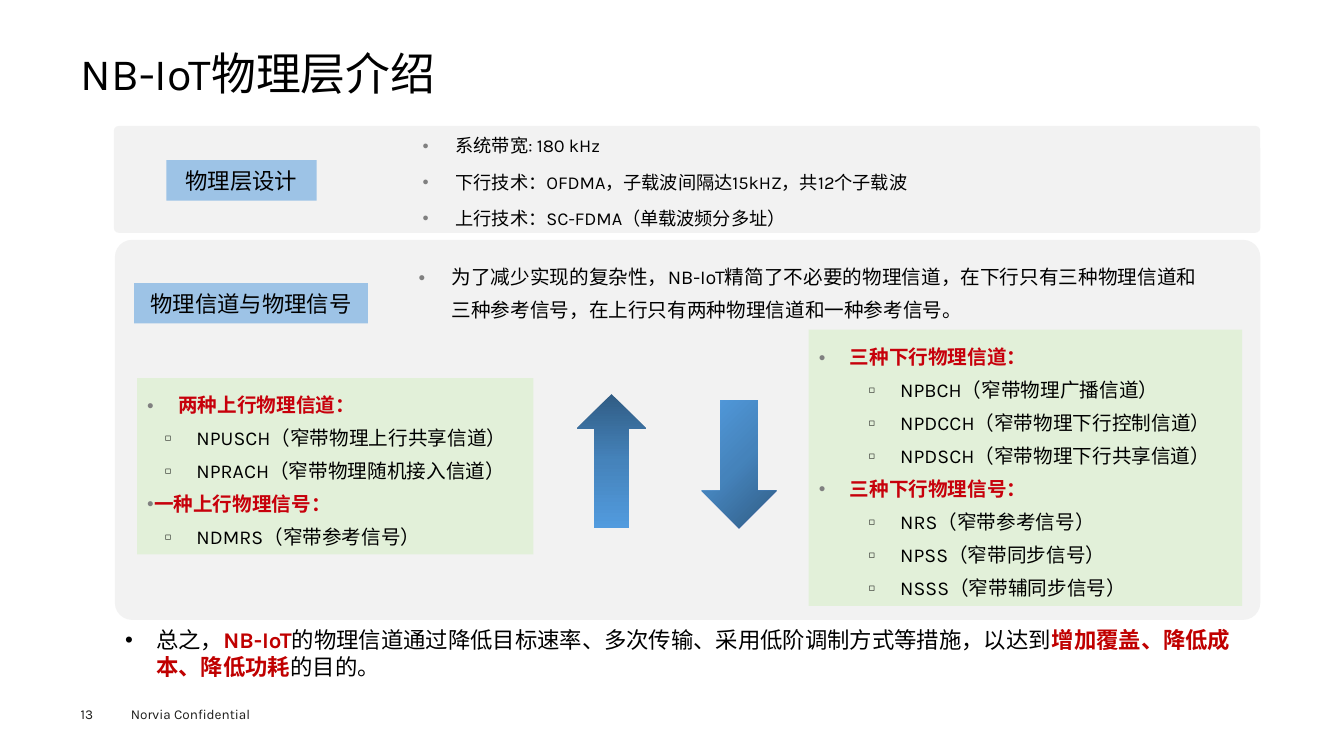
from lxml import etree
from pptx import Presentation
from pptx.dml.color import RGBColor
from pptx.enum.shapes import MSO_SHAPE
from pptx.enum.text import MSO_ANCHOR, MSO_AUTO_SIZE, PP_ALIGN
from pptx.oxml import parse_xml
from pptx.oxml.ns import nsdecls, qn
from pptx.util import Inches, Pt

RECT = MSO_SHAPE.RECTANGLE
ROUNDED = MSO_SHAPE.ROUNDED_RECTANGLE
UP, DOWN = MSO_SHAPE.UP_ARROW, MSO_SHAPE.DOWN_ARROW
TOP, MIDDLE = MSO_ANCHOR.TOP, MSO_ANCHOR.MIDDLE
LEFT, CENTER = PP_ALIGN.LEFT, PP_ALIGN.CENTER
FIXED = MSO_AUTO_SIZE.NONE

BLACK = RGBColor(0x00, 0x00, 0x00)
FOOTER_INK = RGBColor(0x1D, 0x1D, 0x1B)
HEADING_RED = RGBColor(0xC7, 0x00, 0x0B)
KEY_RED = RGBColor(0xC0, 0x00, 0x00)
PANEL_GREY = RGBColor(0xF2, 0xF2, 0xF2)
LABEL_BLUE = RGBColor(0x9D, 0xC3, 0xE6)
LIST_GREEN = RGBColor(0xE2, 0xF0, 0xD9)
BULLET_GREY = RGBColor(0x80, 0x80, 0x80)
ARROW_STOPS = ((0, RGBColor(0x30, 0x5C, 0x84)), (50, RGBColor(0x45, 0x83, 0xBB)),
               (100, RGBColor(0x52, 0x9B, 0xDE)))

DOT = {"char": "●", "size": 60, "color": BULLET_GREY}
SQUARE = {"char": "◻", "size": 50, "color": BLACK}
ROUND_DOT = {"char": "•", "size": 100, "color": BLACK}
NO_INSETS = (0, 0)
LABEL_INSETS = (0.13, 0.07)
BOX_INSETS = (0.1, 0.05)
UPWARD_SHADE = '<a:lin ang="5400000" scaled="0"/>'
CORNER_SHADE = '<a:path path="circle"><a:fillToRect l="100000" t="100000"/></a:path>'


class PhysicalLayerSlide:
    font_name = "Karla"

    def __init__(self, deck):
        self.slide = deck.slides.add_slide(deck.slide_layouts[1])

    def apply(self, target, **values):
        for name, value in values.items():
            setattr(target, name, value)

    def place(self, item, box):
        self.apply(item, **dict(zip(("left", "top", "width", "height"), map(Inches, box))))

    def frame(self, item, insets, anchor=TOP):
        across, down = map(Inches, insets)
        self.apply(item.text_frame, word_wrap=True, auto_size=FIXED, vertical_anchor=anchor,
                   margin_left=across, margin_right=across, margin_top=down, margin_bottom=down)

    def fill_paragraph(self, paragraph, runs, size, align=LEFT, spacing=1.0, before=0):
        self.apply(paragraph, alignment=align, line_spacing=spacing,
                   space_before=Pt(before), space_after=Pt(0))
        for text, color, bold in runs:
            run = paragraph.add_run()
            run.text = text
            self.apply(run.font, name=self.font_name, size=Pt(size), bold=bold)
            run.font.color.rgb = color

    def bullet(self, paragraph, mark, margin, hang):
        properties = paragraph._p.get_or_add_pPr()
        properties.set("marL", str(Inches(margin)))
        properties.set("indent", str(-Inches(hang)))
        color = etree.SubElement(properties, qn("a:buClr"))
        etree.SubElement(color, qn("a:srgbClr")).set("val", str(mark["color"]))
        etree.SubElement(properties, qn("a:buSzPct")).set("val", str(mark["size"] * 1000))
        etree.SubElement(properties, qn("a:buFont")).set("typeface", "Arial")
        etree.SubElement(properties, qn("a:buChar")).set("char", mark["char"])

    def title(self, text, box):
        heading = self.slide.shapes.title
        self.place(heading, box)
        self.frame(heading, NO_INSETS, MIDDLE)
        self.fill_paragraph(heading.text_frame.paragraphs[0], [(text, BLACK, False)], 32,
                            spacing=0.9)

    def summary(self, runs, box):
        body = self.slide.placeholders[1]
        self.place(body, box)
        self.frame(body, BOX_INSETS)
        paragraph = body.text_frame.paragraphs[0]
        self.fill_paragraph(paragraph, runs, 16)
        self.bullet(paragraph, ROUND_DOT, 0.31, 0.31)

    def shape(self, kind, box, color=None):
        item = self.slide.shapes.add_shape(kind, *map(Inches, box))
        item.shadow.inherit = False
        item.line.fill.background()
        if color is not None:
            item.fill.solid()
            item.fill.fore_color.rgb = color
        return item

    def panel(self, box):
        self.shape(ROUNDED, box, PANEL_GREY).adjustments[0] = 0.045

    def label(self, text, box):
        item = self.shape(RECT, box, LABEL_BLUE)
        self.frame(item, LABEL_INSETS, MIDDLE)
        self.fill_paragraph(item.text_frame.paragraphs[0], [(text, BLACK, False)], 16, CENTER)

    def text(self, text, box, size, color, insets):
        item = self.slide.shapes.add_textbox(*map(Inches, box))
        self.frame(item, insets)
        self.fill_paragraph(item.text_frame.paragraphs[0], [(text, color, False)], size)

    def paragraphs(self, item, count):
        frame = item.text_frame
        return [frame.paragraphs[0]] + [frame.add_paragraph() for _ in range(count - 1)]

    def points(self, lines, box, size, insets):
        item = self.slide.shapes.add_textbox(*map(Inches, box))
        self.frame(item, insets)
        for paragraph, line in zip(self.paragraphs(item, len(lines)), lines):
            self.fill_paragraph(paragraph, [(line, BLACK, False)], size, spacing=1.4,
                                before=0.3 * size)
            self.bullet(paragraph, DOT, 0.33, 0.33)

    def channels(self, groups, box, entry_margin):
        item = self.shape(RECT, box, LIST_GREEN)
        self.frame(item, BOX_INSETS, MIDDLE)
        rows = []
        for heading, margin, entries in groups:
            rows.append((heading, HEADING_RED, DOT, margin, 0))
            rows += [(entry, BLACK, SQUARE, entry_margin, 1) for entry in entries]
        for paragraph, row in zip(self.paragraphs(item, len(rows)), rows):
            text, color, mark, margin, level = row
            paragraph.level = level
            self.fill_paragraph(paragraph, [(text, color, level == 0)], 14, spacing=1.4)
            self.bullet(paragraph, mark, margin, 0.31)

    def arrow(self, kind, box, shade):
        item = self.shape(kind, box)
        stops = "".join(f'<a:gs pos="{position * 1000}"><a:srgbClr val="{color}"/></a:gs>'
                        for position, color in ARROW_STOPS)
        gradient = f'<a:gradFill {nsdecls("a")}><a:gsLst>{stops}</a:gsLst>{shade}</a:gradFill>'
        item._element.spPr.find(qn("a:prstGeom")).addnext(parse_xml(gradient))


def main():
    deck = Presentation()
    deck.slide_width, deck.slide_height = Inches(13.33), Inches(7.5)
    page = PhysicalLayerSlide(deck)
    page.title("NB-IoT物理层介绍", (0.8, 0.49, 11.73, 0.53))
    page.summary([
        ("总之，", BLACK, False),
        ("NB-IoT", KEY_RED, True),
        ("的物理信道通过降低目标速率、多次传输、采用低阶调制方式等措施，以达到", BLACK, False),
        ("增加覆盖、降低成本、降低功耗", KEY_RED, True),
        ("的目的。", BLACK, False),
    ], (1.14, 6.16, 11.36, 0.66))

    page.panel((1.14, 2.38, 11.36, 3.77))
    page.panel((1.13, 1.25, 11.37, 1.06))
    page.label("物理层设计", (1.65, 1.59, 1.49, 0.4))
    page.points([
        "系统带宽: 180 kHz",
        "下行技术：OFDMA，子载波间隔达15kHZ，共12个子载波",
        "上行技术：SC-FDMA（单载波频分多址）",
    ], (4.06, 1.18, 5.51, 1.39), 13, LABEL_INSETS)
    page.points([
        "为了减少实现的复杂性，NB-IoT精简了不必要的物理信道，在下行只有三种物理信道和"
        "三种参考信号，在上行只有两种物理信道和一种参考信号。",
    ], (4.05, 2.49, 8.05, 0.61), 14, BOX_INSETS)
    page.label("物理信道与物理信号", (1.33, 2.81, 2.32, 0.4))
    page.channels([
        ("三种下行物理信道：", 0.31, ["NPBCH（窄带物理广播信道）",
                             "NPDCCH（窄带物理下行控制信道）",
                             "NPDSCH（窄带物理下行共享信道）"]),
        ("三种下行物理信号：", 0.31, ["NRS（窄带参考信号）", "NPSS（窄带同步信号）",
                             "NSSS（窄带辅同步信号）"]),
    ], (8.02, 3.27, 4.3, 2.74), 0.81)
    page.channels([
        ("两种上行物理信道：", 0.31, ["NPUSCH（窄带物理上行共享信道）",
                             "NPRACH（窄带物理随机接入信道）"]),
        ("一种上行物理信号：", 0, ["NDMRS（窄带参考信号）"]),
    ], (1.36, 3.75, 3.93, 1.75), 0.49)
    page.arrow(UP, (5.72, 3.91, 0.69, 1.33), UPWARD_SHADE)
    page.arrow(DOWN, (6.96, 3.97, 0.74, 1.27), CORNER_SHADE)

    page.text("Norvia Confidential", (1.2, 6.95, 1.6, 0.27), 9.7, FOOTER_INK, BOX_INSETS)
    page.text("13", (0.8, 7, 0.55, 0.16), 9.7, FOOTER_INK, NO_INSETS)
    deck.save("out.pptx")


if __name__ == "__main__":
    main()
